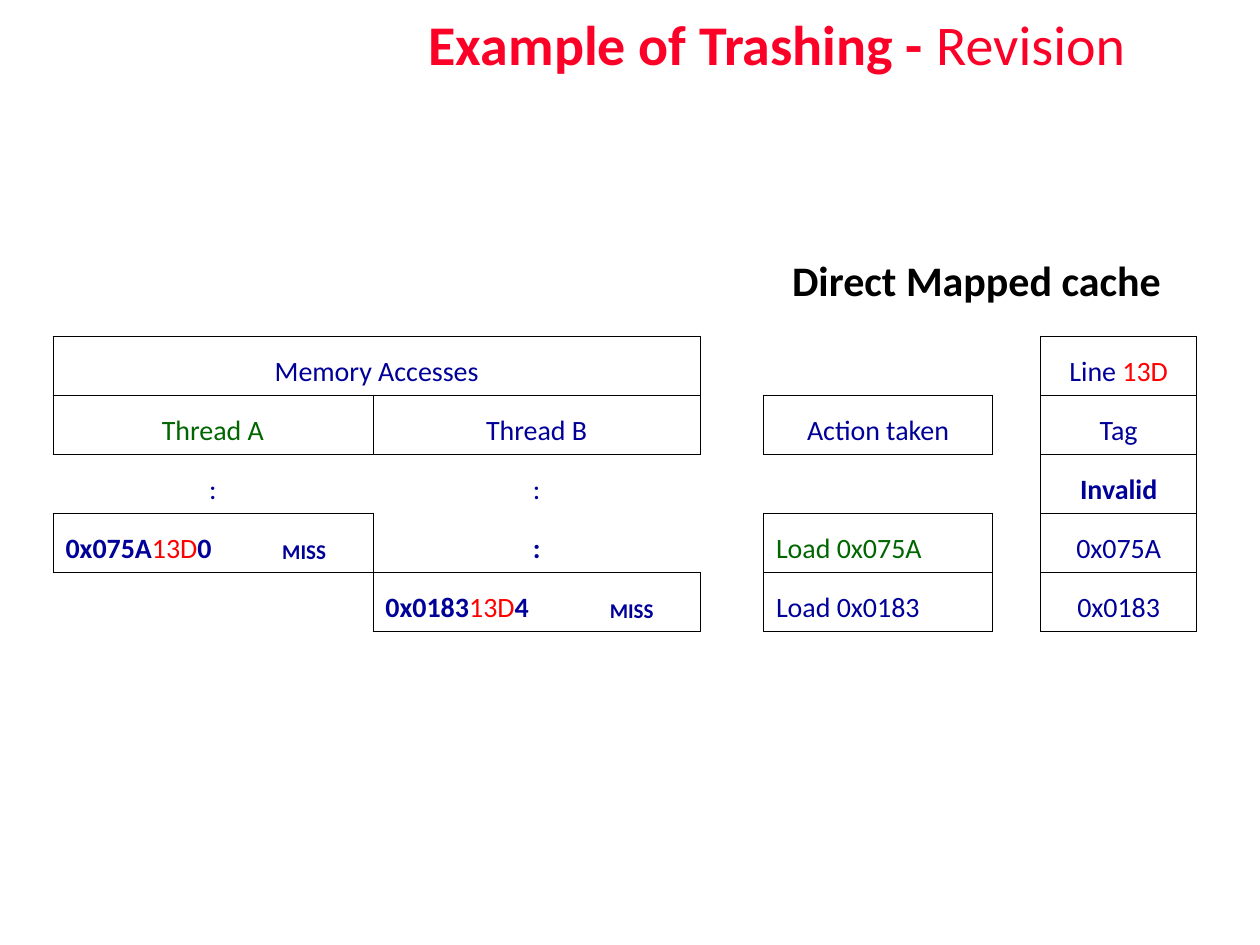
from dataclasses import dataclass
from lxml.etree import SubElement
from pptx import Presentation
from pptx.dml.color import RGBColor
from pptx.enum.text import MSO_ANCHOR, PP_ALIGN
from pptx.oxml.ns import qn
from pptx.util import Pt


@dataclass(frozen=True)
class Theme:
    font: str = "Calibri"
    title_color: str = "FC0128"
    heading_color: str = "000000"
    body_color: str = "000099"
    thread_color: str = "006600"
    line_color: str = "FF0000"
    border_color: str = "000000"
    border_width: float = 0.45
    title_size: int = 32
    heading_size: int = 24
    body_size: int = 16
    note_size: int = 12


THEME = Theme()
COLUMN_WIDTHS = [123.84, 59.04, 128.16, 59.04, 36, 131.04, 27.36, 89.28]
ROW_COUNT = 5
ROW_HEIGHT = 33.72
LINE_RUN = ("13D", {"color": THEME.line_color, "bold": False})
BOLD = {"bold": True}
GREEN = {"color": THEME.thread_color}
MISS = {"bold": True, "size": THEME.note_size, "align": PP_ALIGN.LEFT}
LEFT_GREEN = {"color": THEME.thread_color, "align": PP_ALIGN.LEFT}
LEFT_BOLD = {"bold": True, "align": PP_ALIGN.LEFT}
LEFT = {"align": PP_ALIGN.LEFT}

CELLS = [
    (0, 0, 4, ["Memory Accesses"], {}),
    (0, 7, 1, ["Line ", LINE_RUN], {}),
    (1, 0, 2, ["Thread A"], GREEN),
    (1, 2, 2, ["Thread B"], {}),
    (1, 5, 1, ["Action taken"], {}),
    (1, 7, 1, ["Tag"], {}),
    (2, 0, 2, [":"], {}),
    (2, 2, 2, [":"], {}),
    (2, 7, 1, ["Invalid"], BOLD),
    (3, 0, 1, ["0x075A", LINE_RUN, "0"], LEFT_BOLD),
    (3, 1, 1, ["MISS"], MISS),
    (3, 2, 2, [":"], BOLD),
    (3, 5, 1, ["Load 0x075A"], LEFT_GREEN),
    (3, 7, 1, ["0x075A"], {}),
    (4, 2, 1, ["0x0183", LINE_RUN, "4"], LEFT_BOLD),
    (4, 3, 1, ["MISS"], MISS),
    (4, 5, 1, ["Load 0x0183"], LEFT),
    (4, 7, 1, ["0x0183"], {}),
]
BOXES = [(0, 0, 4), (1, 0, 2), (1, 2, 4), (3, 0, 2), (4, 2, 4)]
BOXES += [(row, 5, 6) for row in (1, 3, 4)]
BOXES += [(row, 7, 8) for row in range(ROW_COUNT)]


def write_text(frame, runs, *, size=THEME.body_size, color=THEME.body_color,
               bold=False, align=PP_ALIGN.CENTER, spacing=None):
    paragraph = frame.paragraphs[0]
    paragraph.alignment = align
    paragraph.line_spacing = spacing
    for item in runs:
        words, changes = (item, {}) if isinstance(item, str) else item
        run = paragraph.add_run()
        run.text = words
        run.font.name = THEME.font
        run.font.size = Pt(size)
        run.font.bold = changes.get("bold", bold)
        run.font.color.rgb = RGBColor.from_string(changes.get("color", color))


def box_edges():
    edges = set()
    for row, first, end in BOXES:
        edges |= {("vertical", row, first), ("vertical", row, end)}
        for column in range(first, end):
            edges |= {("horizontal", row, column), ("horizontal", row + 1, column)}
    return edges


def format_cell(cell, visible_sides):
    properties = cell._tc.get_or_add_tcPr()
    for side, visible in visible_sides.items():
        line = SubElement(properties, qn("a:ln" + side), w=str(Pt(THEME.border_width)))
        if visible:
            fill = SubElement(line, qn("a:solidFill"))
            SubElement(fill, qn("a:srgbClr"), val=THEME.border_color)
        else:
            SubElement(line, qn("a:noFill"))
    cell.fill.background()
    cell.vertical_anchor = MSO_ANCHOR.BOTTOM


def add_access_table(slide):
    shape = slide.shapes.add_table(ROW_COUNT, len(COLUMN_WIDTHS), Pt(30.24), Pt(192),
                                   Pt(sum(COLUMN_WIDTHS)), Pt(ROW_COUNT * ROW_HEIGHT))
    table = shape.table
    table.first_row = table.horz_banding = False
    for column, width in zip(table.columns, COLUMN_WIDTHS):
        column.width = Pt(width)
    for row in table.rows:
        row.height = Pt(ROW_HEIGHT)
    spans = {}
    for row, column, span, runs, style in CELLS:
        cell = table.cell(row, column)
        spans[row, column] = span
        if span > 1:
            cell.merge(table.cell(row, column + span - 1))
        write_text(cell.text_frame, runs, spacing=1.25 if column < 4 else None, **style)
    edges = box_edges()
    for row in range(ROW_COUNT):
        for column in range(len(COLUMN_WIDTHS)):
            end = column + spans.get((row, column), 1)
            format_cell(table.cell(row, column), {
                "L": ("vertical", row, column) in edges,
                "R": ("vertical", row, end) in edges,
                "T": ("horizontal", row, column) in edges,
                "B": ("horizontal", row + 1, column) in edges,
            })


def add_title(slide):
    title = slide.shapes.title
    title.left, title.top, title.width, title.height = Pt(168), Pt(0), Pt(552), Pt(54)
    title.text_frame.vertical_anchor = MSO_ANCHOR.MIDDLE
    write_text(title.text_frame, ["Example of Trashing - ", ("Revision", {"bold": False})],
               size=THEME.title_size, color=THEME.title_color, bold=True, spacing=0.9)


def add_heading(slide):
    heading = slide.shapes.add_textbox(Pt(438), Pt(142), Pt(240), Pt(36))
    heading.text_frame.word_wrap = True
    write_text(heading.text_frame, ["Direct Mapped cache"], size=THEME.heading_size,
               color=THEME.heading_color, bold=True)


def main():
    presentation = Presentation()
    presentation.slide_width, presentation.slide_height = Pt(720), Pt(540)
    slide = presentation.slides.add_slide(presentation.slide_layouts[5])
    add_title(slide)
    add_access_table(slide)
    add_heading(slide)
    presentation.save("out.pptx")


main()
